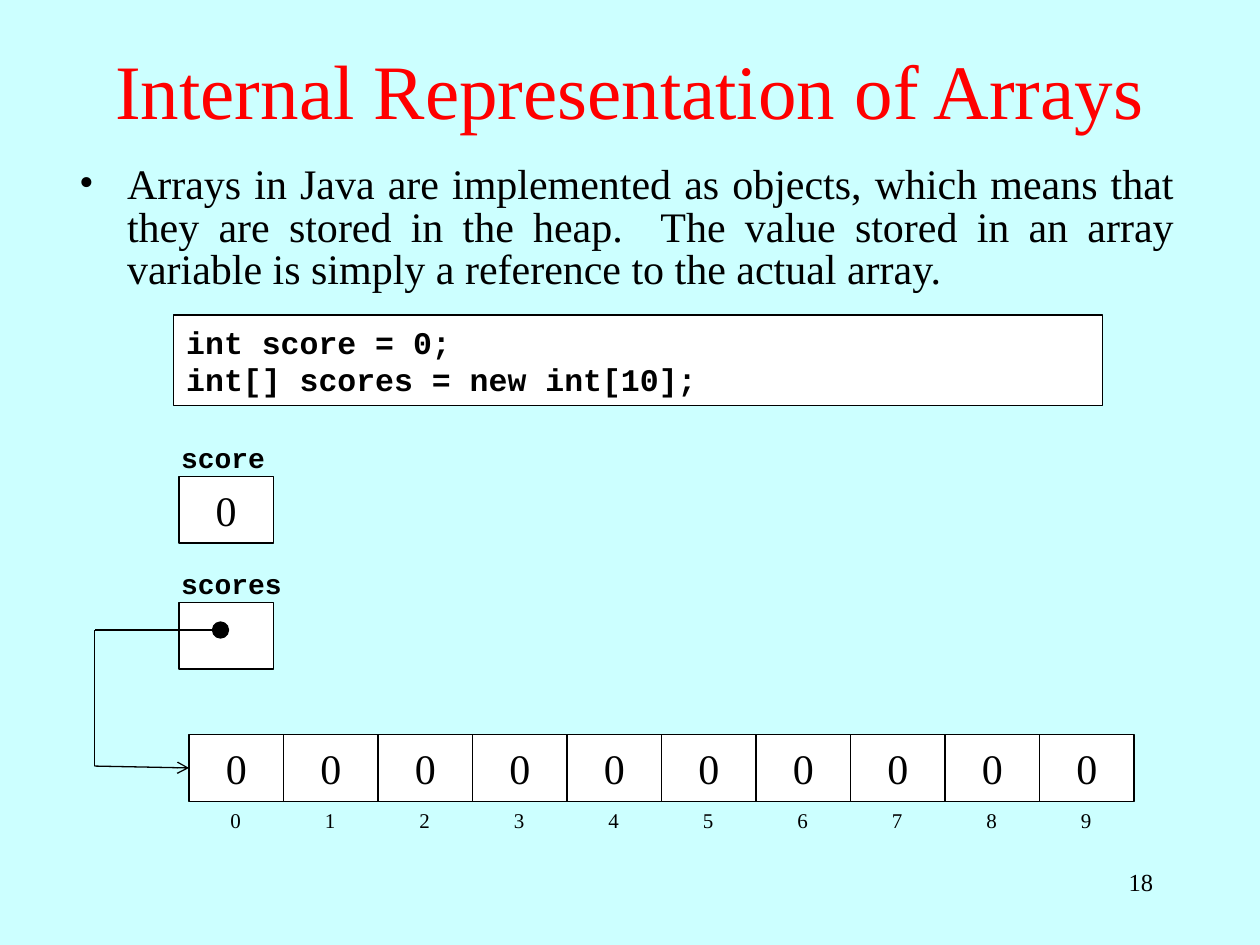
from pptx import Presentation
from pptx.dml.color import RGBColor
from pptx.enum.shapes import MSO_CONNECTOR as CONN, MSO_SHAPE as SHAPE
from pptx.enum.text import MSO_ANCHOR as ANCHOR, PP_ALIGN as ALIGN
from pptx.oxml.ns import qn
from pptx.util import Inches, Pt
from lxml.etree import SubElement

BLACK = RGBColor(0x00, 0x00, 0x00)
WHITE = RGBColor(0xFF, 0xFF, 0xFF)
RED = RGBColor(0xFF, 0x00, 0x00)
PALE_CYAN = RGBColor(0xCC, 0xFF, 0xFF)
SERIF, MONO = "Times New Roman", "Courier New"
CELL_W, CELL_H = 0.75, 0.53
ROW_X, ROW_Y = 1.5, 5.83


def write(s, text, size, align=ALIGN.LEFT, font=SERIF, color=BLACK,
          anchor=ANCHOR.TOP, wrap=True):
    tf = s.text_frame
    tf.text = text
    tf.word_wrap = wrap
    tf.vertical_anchor = anchor
    for p in tf.paragraphs:
        p.alignment = align
        for r in p.runs:
            r.font.name = font
            r.font.size = Pt(size)
            r.font.bold = font == MONO
            r.font.color.rgb = color
    return tf.paragraphs[0]


def add_box(shapes, x, y, w=CELL_W, h=CELL_H):
    s = shapes.add_shape(SHAPE.RECTANGLE, Inches(x), Inches(y), Inches(w), Inches(h))
    s.shadow.inherit = False
    s.fill.solid()
    s.fill.fore_color.rgb = WHITE
    s.line.color.rgb = BLACK
    s.line.width = Pt(0.75)
    return s


prs = Presentation()
prs.slide_width, prs.slide_height = Inches(10), Inches(7.5)
slide = prs.slides.add_slide(prs.slide_layouts[6])
slide.background.fill.solid()
slide.background.fill.fore_color.rgb = PALE_CYAN
shapes = slide.shapes

title = shapes.add_textbox(Inches(0), Inches(0.08), Inches(10), Inches(1.25))
write(title, "Internal Representation of Arrays", 44, ALIGN.CENTER, color=RED,
      anchor=ANCHOR.MIDDLE)

body = shapes.add_textbox(Inches(0.53), Inches(1.26), Inches(8.89), Inches(1.15))
p = write(body, "Arrays in Java are implemented as objects, which means that they are "
          "stored in the heap.  The value stored in an array variable is simply a "
          "reference to the actual array.", 24, ALIGN.JUSTIFY)
p.line_spacing = 0.85
p.space_after = Pt(15)
pPr = p._p.get_or_add_pPr()
pPr.set("marL", str(Inches(0.38)))
pPr.set("indent", str(-Inches(0.38)))
SubElement(pPr, qn("a:buFont"), typeface=SERIF)
SubElement(pPr, qn("a:buChar"), char="•")

code = add_box(shapes, 1.38, 2.5, 7.37, 0.72)
write(code, "int score = 0;\nint[] scores = new int[10];", 18, font=MONO,
      anchor=ANCHOR.MIDDLE)

for name, value, y, label_w in [("score", "0", 3.78, 0.9), ("scores", "", 4.78, 1.04)]:
    s = add_box(shapes, 1.42, y)
    if value:
        write(s, value, 24, ALIGN.CENTER, anchor=ANCHOR.MIDDLE, wrap=False)
    label = shapes.add_textbox(Inches(1.34), Inches(y - 0.3), Inches(label_w), Inches(0.34))
    write(label, name, 16, font=MONO, wrap=False).line_spacing = 0.9

array = shapes.add_group_shape().shapes
cells = []
for i in range(10):
    x = ROW_X + i * CELL_W
    cell = add_box(array, x, ROW_Y)
    write(cell, "0", 24, ALIGN.CENTER, anchor=ANCHOR.MIDDLE, wrap=False)
    cells.append(cell)
    index = array.add_textbox(Inches(x + 0.08), Inches(ROW_Y + CELL_H),
                              Inches(0.58), Inches(0.3))
    write(index, str(i), 12, ALIGN.CENTER)

points = [(1.75, 5), (0.75, 5), (0.75, 6.08), (1.5, 6.09)]
lines = []
for (x1, y1), (x2, y2) in zip(points, points[1:]):
    s = shapes.add_connector(CONN.STRAIGHT, Inches(x1), Inches(y1), Inches(x2), Inches(y2))
    s.line.color.rgb = BLACK
    s.line.width = Pt(0.75)
    SubElement(s._element.spPr, qn("a:effectLst"))
    lines.append(s)
lines[-1].end_connect(cells[0], 1)
SubElement(lines[0].line._get_or_add_ln(), qn("a:headEnd"), type="oval", w="lg", len="lg")
SubElement(lines[-1].line._get_or_add_ln(), qn("a:tailEnd"), type="arrow")

number = shapes.add_textbox(Inches(7.17), Inches(6.83), Inches(2.08), Inches(0.5))
write(number, "18", 14, ALIGN.RIGHT)

prs.save("out.pptx")
